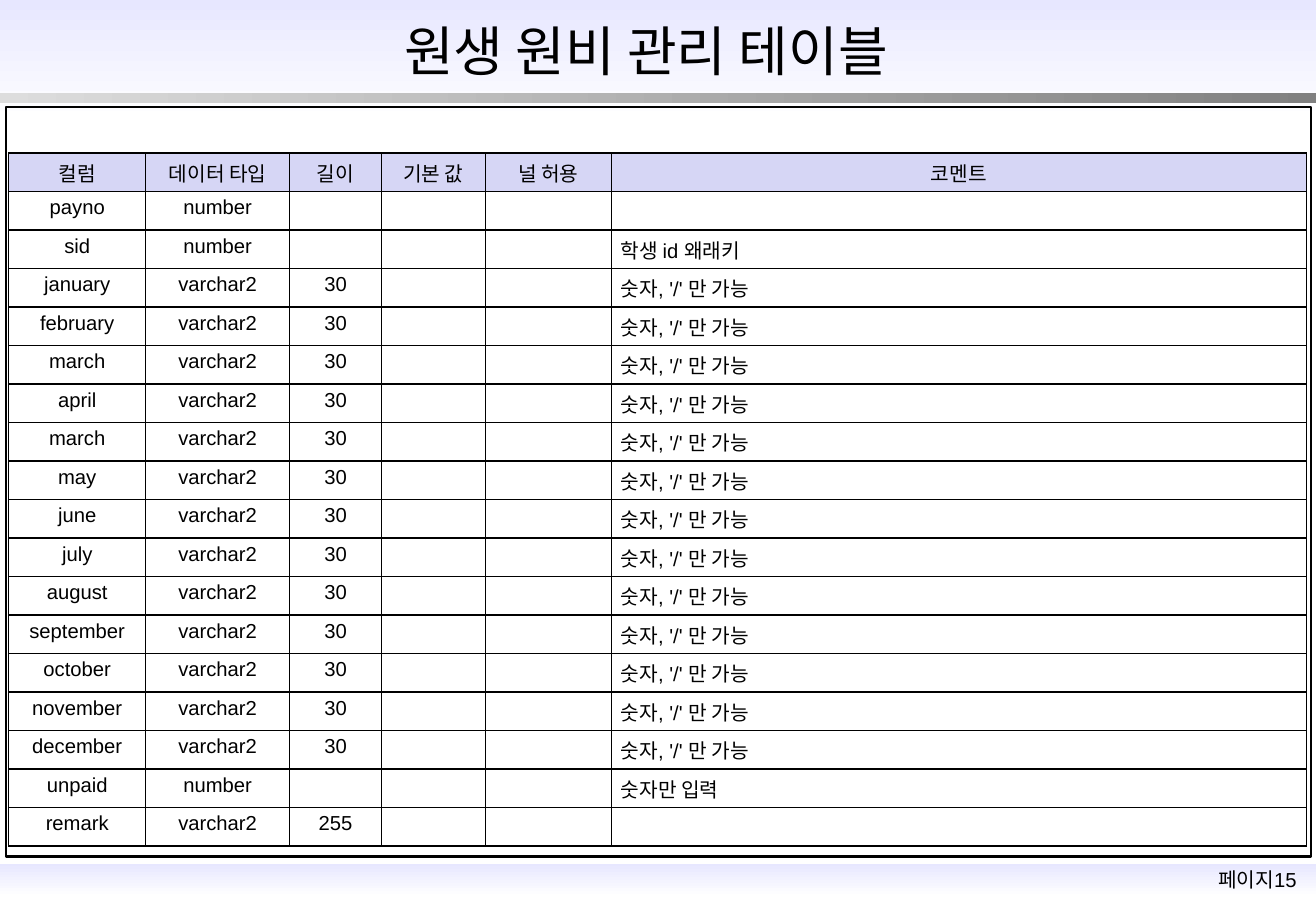
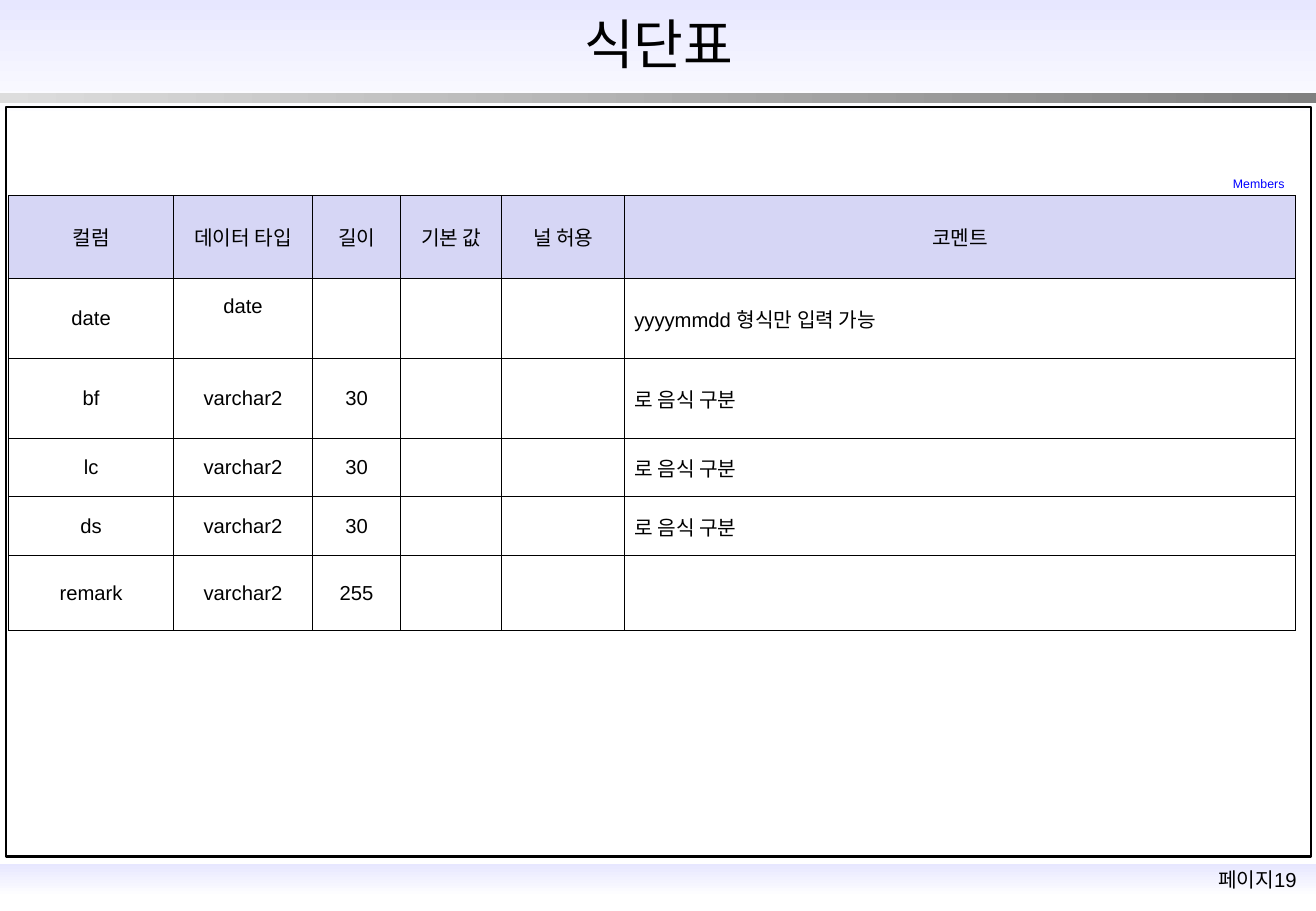
from lxml.etree import SubElement
from pptx import Presentation
from pptx.dml.color import RGBColor
from pptx.enum.shapes import MSO_SHAPE
from pptx.enum.text import MSO_ANCHOR, PP_ALIGN
from pptx.oxml import parse_xml
from pptx.oxml.ns import nsdecls, qn
from pptx.util import Cm, Pt

FONT = "Arial"
BLACK = RGBColor(0x00, 0x00, 0x00)
WHITE = RGBColor(0xFF, 0xFF, 0xFF)
BLUE = RGBColor(0x00, 0x00, 0xFF)
LAVENDER = RGBColor(0xE7, 0xE7, 0xFF)
HEADER_FILL = RGBColor(0xD6, 0xD6, 0xF5)
LIGHT_GREY = RGBColor(0xDD, 0xDD, 0xDD)
DARK_GREY = RGBColor(0x80, 0x80, 0x80)

PAGE_WIDTH, PAGE_HEIGHT = Cm(27.51), Cm(19.05)
TITLE_WIDTH = Cm(19.2)
TABLE_LEFT = Cm(0.18)
TEXT_SIZE = 12
INSET_X, INSET_Y = Cm(0.2), Cm(0.1)
DOWNWARD, RIGHTWARD = 270, 0

HEADERS = ["컬럼", "데이터 타입", "길이", "기본 값", "널 허용", "코멘트"]
COMMENT_COLUMN = HEADERS.index("코멘트")
MONTHS = ["january", "february", "march", "april", "march", "may", "june", "july",
          "august", "september", "october", "november", "december"]
PAYMENT_FIELDS = [
    ("payno", "number", "", ""),
    ("sid", "number", "", "학생 id 왜래키"),
    *[(month, "varchar2", "30", "숫자, '/' 만 가능") for month in MONTHS],
    ("unpaid", "number", "", "숫자만 입력"),
    ("remark", "varchar2", "255", ""),
]
MENU_FIELDS = [
    ("date", "date", "", "yyyymmdd 형식만 입력 가능"),
    *[(meal, "varchar2", "30", "로 음식 구분") for meal in ("bf", "lc", "ds")],
    ("remark", "varchar2", "255", ""),
]


def style_paragraph(para, size, color=BLACK, align=PP_ALIGN.CENTER):
    para.alignment = align
    para.font.name = FONT
    para.font.size = Pt(size)
    para.font.color.rgb = color


def set_insets(target, inset_x, inset_y):
    target.margin_left = target.margin_right = inset_x
    target.margin_top = target.margin_bottom = inset_y


def add_band(page, top, height, start, end, angle):
    band = page.shapes.add_shape(MSO_SHAPE.RECTANGLE, 0, top, PAGE_WIDTH, height)
    band.shadow.inherit = False
    band.line.fill.background()
    band.fill.gradient()
    band.fill.gradient_angle = angle
    for stop, color in zip(band.fill.gradient_stops, (start, end)):
        stop.color.rgb = color
    return band


def add_frame(page):
    frame = page.shapes.add_shape(MSO_SHAPE.RECTANGLE, Cm(0.13), Cm(2.24), Cm(27.28), Cm(15.67))
    frame.shadow.inherit = False
    frame.fill.background()
    frame.line.color.rgb = BLACK
    frame.line.width = Pt(1.5)
    return frame


def decorate_layout(layout, page):
    for holder in list(layout.placeholders)[1:]:
        holder.element.getparent().remove(holder.element)
    decorations = [
        add_band(page, Cm(18.06), Cm(0.69), LAVENDER, WHITE, DOWNWARD),
        add_band(page, 0, Cm(2.54), LAVENDER, WHITE, DOWNWARD),
        add_band(page, Cm(1.95), Cm(0.2), LIGHT_GREY, DARK_GREY, RIGHTWARD),
        add_frame(page),
    ]
    for shape in decorations:
        layout.shapes.element.append(shape.element)


def set_title(page, text, left, top, height):
    title = page.shapes.title
    title.left, title.top, title.width, title.height = left, top, TITLE_WIDTH, height
    frame = title.text_frame
    frame.text = text
    frame.vertical_anchor = MSO_ANCHOR.MIDDLE
    set_insets(frame, 0, 0)
    style_paragraph(frame.paragraphs[0], 32)


def add_label(page, text, bounds, insets, size, color=BLACK, align=PP_ALIGN.CENTER):
    frame = page.shapes.add_textbox(*bounds).text_frame
    frame.word_wrap = True
    frame.text = text
    set_insets(frame, *insets)
    style_paragraph(frame.paragraphs[0], size, color, align)


def add_page_number(page, number):
    bounds = Cm(24.94), Cm(18.01), Cm(2.69), Cm(0.76)
    add_label(page, f"페이지{number}", bounds, (Cm(0.25), Cm(0.13)), TEXT_SIZE)


def add_borders(cell):
    properties = cell._tc.get_or_add_tcPr()
    for position, side in enumerate("LRTB"):
        properties.insert(position, parse_xml(
            f'<a:ln{side} {nsdecls("a")} w="{Pt(0.75)}"><a:solidFill>'
            f'<a:srgbClr val="{BLACK}"/></a:solidFill></a:ln{side}>'))


def fill_cell(cell, text, align, anchor, is_header):
    cell.text = text
    cell.vertical_anchor = anchor
    set_insets(cell, INSET_X, INSET_Y)
    para = cell.text_frame.paragraphs[0]
    style_paragraph(para, TEXT_SIZE, align=align)
    if not text:
        SubElement(para._p, qn("a:endParaRPr"), sz=str(TEXT_SIZE * 100))
    if is_header:
        cell.fill.solid()
        cell.fill.fore_color.rgb = HEADER_FILL
    else:
        cell.fill.background()
    add_borders(cell)


def add_field_table(page, fields, top, widths, heights, anchor):
    rows = [HEADERS] + [(name, kind, length, "", "", comment)
                        for name, kind, length, comment in fields]
    table = page.shapes.add_table(len(rows), len(HEADERS), TABLE_LEFT, top,
                                  sum(widths), sum(heights)).table
    table.first_row = table.horz_banding = False
    for column, width in zip(table.columns, widths):
        column.width = width
    for row, height in zip(table.rows, heights):
        row.height = height
    for row_index, values in enumerate(rows):
        is_header = row_index == 0
        for column_index, text in enumerate(values):
            is_comment = column_index == COMMENT_COLUMN and not is_header
            align = PP_ALIGN.LEFT if is_comment else PP_ALIGN.CENTER
            fill_cell(table.cell(row_index, column_index), text, align, anchor, is_header)
    return table


def build_payment_page(page):
    set_title(page, "원생 원비 관리 테이블", Cm(3.91), Cm(0.61), Cm(0.86))
    add_page_number(page, 15)
    widths = [Cm(width) for width in (2.87, 3, 1.93, 2.16, 2.64, 14.53)]
    row_count = len(PAYMENT_FIELDS) + 1
    heights = [Cm(14.49) // row_count] * row_count
    add_field_table(page, PAYMENT_FIELDS, Cm(3.2), widths, heights, MSO_ANCHOR.TOP)


def build_menu_page(page):
    set_title(page, "식단표", Cm(4.17), Cm(0.25), Cm(1.3))
    add_page_number(page, 19)
    add_label(page, "Members", (Cm(24.74), Cm(3.58), Cm(2.31), Cm(0.53)),
              (INSET_X, INSET_Y), 7.3, BLUE, PP_ALIGN.RIGHT)
    widths = [Cm(width) for width in (3.45, 2.9, 1.85, 2.11, 2.57, 14.02)]
    heights = [Cm(height) for height in (1.73, 1.68, 1.67, 1.22, 1.23, 1.57)]
    table = add_field_table(page, MENU_FIELDS, Cm(4.09), widths, heights, MSO_ANCHOR.MIDDLE)
    table.cell(1, 1).margin_bottom = Cm(0.6)


def main():
    deck = Presentation()
    deck.slide_width, deck.slide_height = PAGE_WIDTH, PAGE_HEIGHT
    layout = deck.slide_layouts.get_by_name("Title Only")
    payment_page = deck.slides.add_slide(layout)
    decorate_layout(layout, payment_page)
    build_payment_page(payment_page)
    build_menu_page(deck.slides.add_slide(layout))
    deck.save("out.pptx")


if __name__ == "__main__":
    main()
